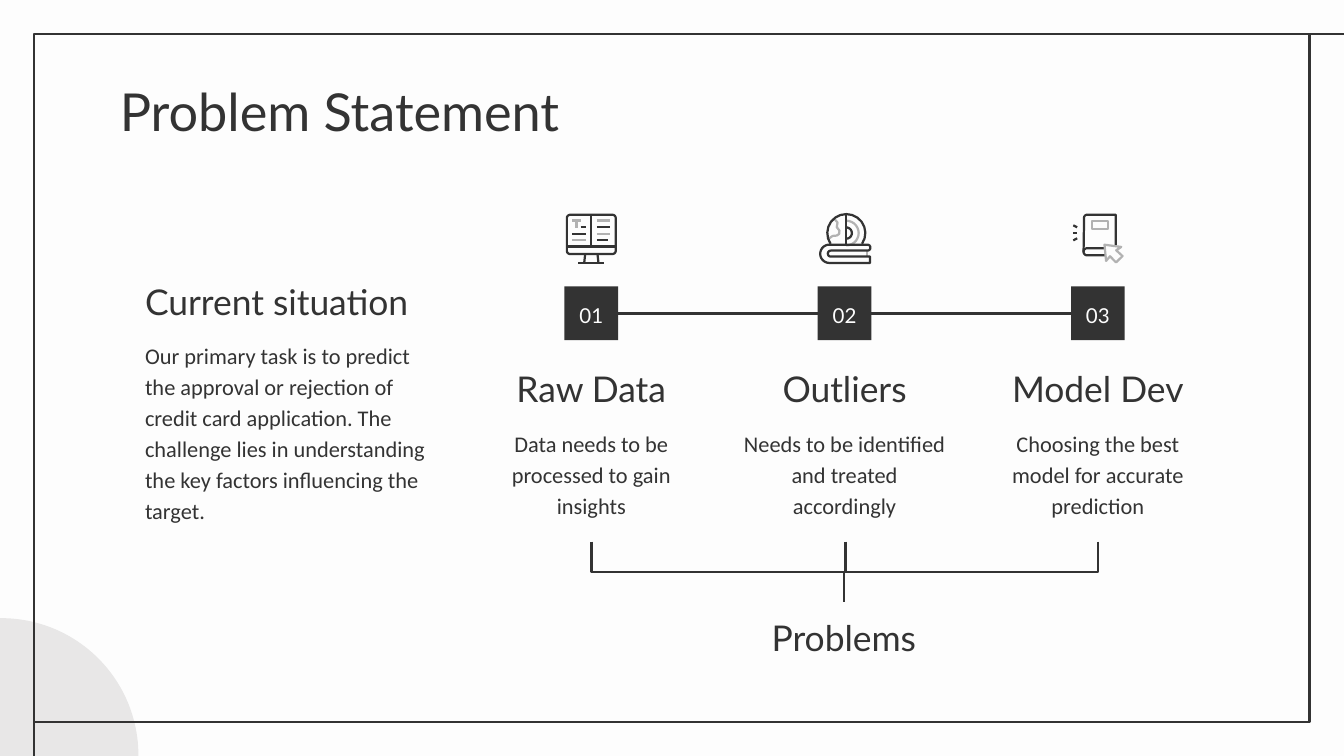
import math

from lxml import etree
from pptx import Presentation
from pptx.dml.color import RGBColor
from pptx.enum import shapes, text
from pptx.oxml import ns
from pptx.util import Pt

COLORS = {"ink": "333333", "paper": "FDFDFD", "soft": "E8E7E7", "grey": "B2B2B2"}
CONNECTOR, SHAPE = shapes.MSO_CONNECTOR, shapes.MSO_SHAPE
ANCHOR, ALIGN = text.MSO_ANCHOR, text.PP_ALIGN


def color(name):
    return RGBColor.from_string(COLORS[name])


def arc(x, y, radius, start, end, steps=14):
    """Points on an arc, angles in degrees, clockwise from the right."""
    angles = [math.radians(start + (end - start) * i / steps) for i in range(steps + 1)]
    return [(x + radius * math.cos(a), y + radius * math.sin(a)) for a in angles]


# Icons: width, then strokes as (colour, points); a stroke ending at its start is closed
MONITOR = (27.4, [
    ("ink", arc(2.4, 2.4, 1.8, 180, 270) + arc(25, 2.4, 1.8, 270, 360)
     + arc(25, 19.8, 1.8, 0, 90) + arc(2.4, 19.8, 1.8, 90, 180) + [(0.6, 2.4)]),
    ("ink", [(13.7, 0.6), (13.7, 17.6)]),
    ("ink", [(0.6, 17.6), (26.8, 17.6)]),
    ("ink", [(10.4, 21.6), (9.9, 26.3)]),
    ("ink", [(17, 21.6), (17.5, 26.3)]),
    ("ink", [(6.8, 26.3), (20.7, 26.3)]),
    ("grey", [(3.6, 3.6), (7.9, 3.6)]),
    ("grey", [(5.8, 3.6), (5.8, 7.7)]),
    ("ink", [(7.9, 7.2), (10.8, 7.2)]),
    ("ink", [(3.6, 10.8), (10.8, 10.8)]),
    ("grey", [(3.6, 14.2), (10.8, 14.2)]),
    ("grey", [(16.6, 3.6), (23.8, 3.6)]),
    ("ink", [(16.6, 7.2), (23.8, 7.2)]),
    ("grey", [(16.6, 10.8), (23.8, 10.8)]),
    ("ink", [(16.6, 14.2), (22.4, 14.2)]),
])
GLOBE_BOOK = (30, [
    ("grey", [(27, 19.8), (27, 23)]),
    ("grey", [(9.7, 2.9), (11.2, 4.7), (10.8, 7.2), (12.2, 9), (12.1, 10.8),
              (10.8, 11.7), (8.6, 11.9), (6.5, 13.3)]),
    ("grey", arc(15.9, 10.4, 6.6, -90, 90)),
    ("ink", arc(15.9, 10.4, 3, -90, 90)),
    ("ink", arc(15.9, 10.4, 10.2, 146, 394)),
    ("ink", [(15.9, 0.6), (15.9, 16.4)]),
    ("ink", [(7.6, 23)] + arc(7.6, 21.4, 1.6, 90, 270) + arc(27.2, 18.2, 1.6, 90, -90)
     + arc(6.8, 21.5, 4.9, 270, 90) + [(28.6, 26.4), (28.6, 23), (7.6, 23)]),
])
CLICK_BOOK = (27.6, [
    ("ink", [(23.4, 17.3), (23.4, 0.6)] + arc(8, 2.2, 1.6, 270, 180)
     + arc(8, 20.4, 1.9, 180, 90) + [(18, 22.3)]),
    ("ink", [(17.3, 18.5)] + arc(8, 20.4, 1.9, 270, 180)),
    ("grey", [(17.3, 16.6), (26.3, 17.8), (23.6, 19.6), (27, 22.7), (23.5, 26.1),
              (20.3, 22.8), (18.2, 25.3), (17.3, 16.6)]),
    ("grey", [(10.6, 4.1), (19.2, 4.1), (19.2, 8.1), (10.6, 8.1), (10.6, 4.1)]),
    ("ink", [(0.6, 10.3), (2.7, 10.3)]),
    ("ink", [(0.6, 6.2), (2.7, 7.3)]),
    ("ink", [(0.6, 14.3), (2.7, 13.2)]),
])
STEPS = [
    ("01", "Raw Data", "Data needs to be processed to gain insights", MONITOR),
    ("02", "Outliers", "Needs to be identified and treated accordingly", GLOBE_BOOK),
    ("03", "Model Dev", "Choosing the best model for accurate prediction", CLICK_BOOK),
]


def add_line(parent, start, end, ink="ink", width=1.5, kind=CONNECTOR.STRAIGHT):
    line = parent.shapes.add_connector(kind, *map(Pt, start + end))
    line.line.color.rgb = color(ink)
    line.line.width = Pt(width)
    etree.SubElement(line.element.spPr, ns.qn("a:effectLst"))
    return line


def add_block(page, kind, x, y, width, height, fill=None):
    block = page.shapes.add_shape(kind, Pt(x), Pt(y), Pt(width), Pt(height))
    block.shadow.inherit = False
    if fill:
        block.fill.solid()
        block.fill.fore_color.rgb = color(fill)
        block.line.fill.background()
    else:
        block.fill.background()
        block.line.color.rgb = color("ink")
        block.line.width = Pt(1.5)
    return block


def write(box, words, size, font, ink="ink", align=ALIGN.LEFT, anchor=ANCHOR.TOP, spacing=1.15):
    frame = box.text_frame
    frame.text = words
    frame.word_wrap = True
    frame.auto_size = text.MSO_AUTO_SIZE.NONE
    frame.vertical_anchor = anchor
    frame.margin_left = frame.margin_right = frame.margin_top = frame.margin_bottom = Pt(7.2)
    para = frame.paragraphs[0]
    para.alignment = align
    para.line_spacing = spacing
    span = para.runs[0].font
    span.size, span.name, span.color.rgb = Pt(size), font, color(ink)


def add_text(page, x, y, width, height, *args, **style):
    box = page.shapes.add_textbox(Pt(x), Pt(y), Pt(width), Pt(height))
    write(box, *args, **style)


def add_entry(page, x, y, width, body_height, heading, body, align):
    """A heading with its body text below."""
    add_text(page, x, y, width, 32.4, heading, 19, "Lato", align=align, anchor=ANCHOR.BOTTOM)
    add_text(page, x, y + 26.6, width, body_height, body, 12, "Calibri", align=align)


def add_icon(page, center, top, icon):
    width, strokes = icon
    left = center - width / 2
    group = page.shapes.add_group_shape()
    for ink, points in strokes:
        points = [(left + x, top + y) for x, y in points]
        if len(points) == 2:
            add_line(group, *points, ink=ink, width=1.2)
            continue
        closed = math.dist(points[0], points[-1]) < 0.01
        corners = [(Pt(x), Pt(y)) for x, y in points]
        builder = group.shapes.build_freeform(*corners[0])
        builder.add_line_segments(corners[1:], close=closed)
        outline = builder.convert_to_shape()
        outline.shadow.inherit = False
        outline.fill.background()
        outline.line.color.rgb = color(ink)
        outline.line.width = Pt(1.2)


def add_bracket(page, x, y, end_x, height):
    """An elbow that runs down, across and down: a turned elbow connector."""
    span = abs(x - end_x)
    center_x, center_y = (x + end_x) / 2, y + height / 2
    reach = height / 2 if x > end_x else -height / 2
    line = add_line(page, (center_x - reach, center_y - span / 2),
                    (center_x + reach, center_y + span / 2), kind=CONNECTOR.ELBOW)
    line.element.spPr.xfrm.set("rot", str((90 if x > end_x else 270) * 60000))


def add_frame(page, x, y, width, height):
    add_block(page, SHAPE.OVAL, -72.7, 331.2, 146.9, 146.9, "soft")
    add_block(page, SHAPE.RECTANGLE, x, y, width, height)
    add_line(page, (x + width, y), (720, y))
    add_line(page, (x, y + height), (x, 405))


def add_title(page, x, y, width, height):
    title = page.shapes.title
    title.left, title.top, title.width, title.height = map(Pt, (x, y, width, height))
    write(title, "Problem Statement", 28, "Lato", spacing=1.0)


def add_process(page, x, y, width, height):
    """Three numbered steps, bracketed together at the foot of the box."""
    column, square = 122.4, 28.8
    gap = (width - column) / 2
    centers = [x + column / 2 + i * gap for i in range(3)]
    middle = y + 53.3
    track = add_line(page, (centers[0], middle), (centers[2], middle))
    squares = []
    for center, (number, heading, body, icon) in zip(centers, STEPS):
        box = add_block(page, SHAPE.RECTANGLE, center - square / 2, middle - square / 2,
                        square, square, "ink")
        write(box, number, 11, "Lato", "paper", ALIGN.CENTER, ANCHOR.MIDDLE)
        squares.append(box)
        add_entry(page, center - column / 2, y + 79.9, column, 69.1, heading, body, ALIGN.CENTER)
        add_icon(page, center, y, icon)
    track.begin_connect(squares[0], 3)
    track.end_connect(squares[2], 1)

    # Brackets leading to the shared label
    label_top, label_x = y + height - 37.4, centers[1] - 0.4
    for center, shift in zip(centers, (0, 0.4, 0)):
        add_bracket(page, center + shift, label_top - 32.4, label_x, 32.4)
    add_text(page, label_x - 60, label_top, 120, 37.4, "Problems", 19, "Lato",
             align=ALIGN.CENTER, anchor=ANCHOR.BOTTOM)


def main():
    deck = Presentation()
    deck.slide_width, deck.slide_height = Pt(720), Pt(405)
    page = deck.slides.add_slide(deck.slide_layouts[5])
    page.background.fill.solid()
    page.background.fill.fore_color.rgb = color("paper")

    add_frame(page, 18.2, 18.2, 683.3, 368.6)
    add_title(page, 57, 35.3, 607, 45.4)
    add_entry(page, 70.6, 147.6, 173.5, 126.7, "Current situation",
              "Our primary task is to predict the approval or rejection of credit card "
              "application. The challenge lies in understanding the key factors "
              "influencing the target.", ALIGN.LEFT)
    add_process(page, 255.6, 114.5, 393.8, 245.5)
    deck.save("out.pptx")


if __name__ == "__main__":
    main()
